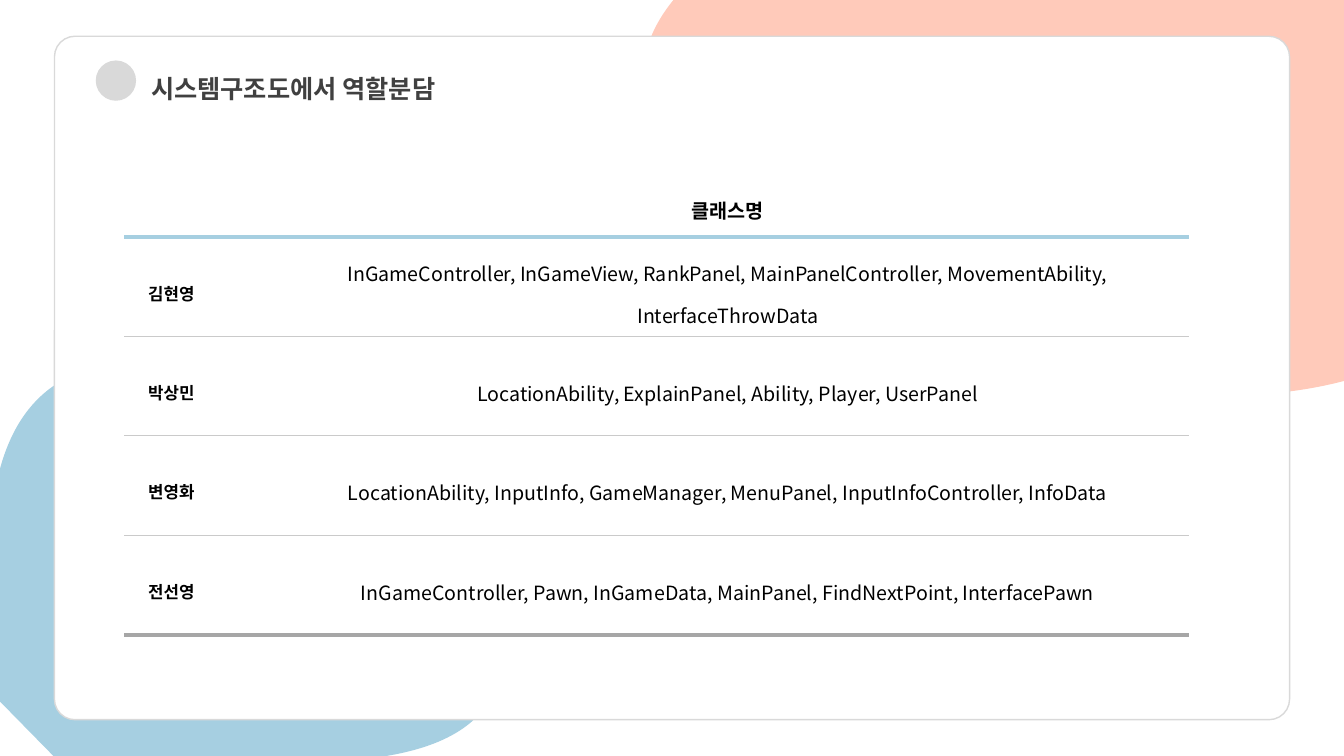
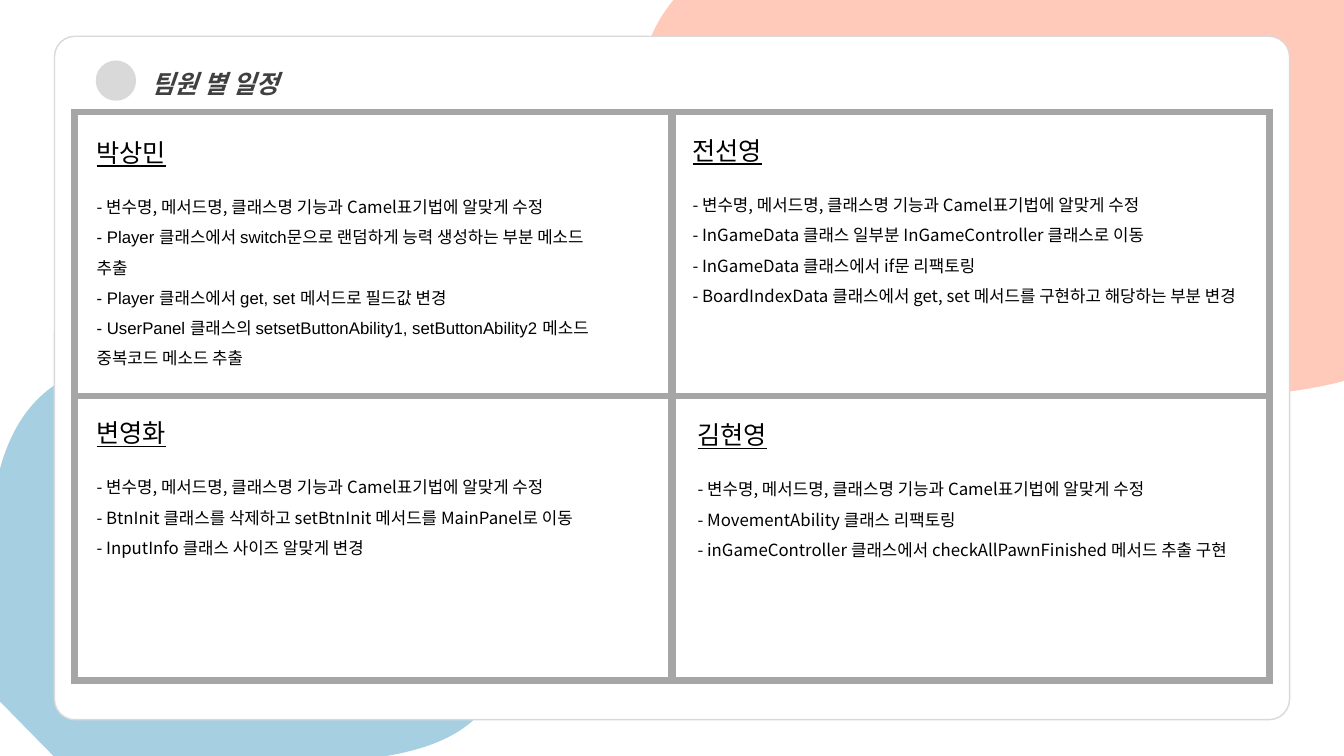
from dataclasses import dataclass

from lxml.etree import SubElement
from pptx import Presentation
from pptx.dml.color import RGBColor
from pptx.enum.shapes import MSO_SHAPE
from pptx.enum.text import MSO_ANCHOR, MSO_AUTO_SIZE, PP_ALIGN
from pptx.oxml import parse_xml
from pptx.oxml.ns import nsdecls, qn
from pptx.util import Emu, Pt

EMU_PER_PX = 9144  # 100 px to the inch

BLUE = RGBColor(0xA6, 0xCF, 0xE1)
CORAL = RGBColor(0xFF, 0xCA, 0xBA)
WHITE = RGBColor(0xFF, 0xFF, 0xFF)
BLACK = RGBColor(0x00, 0x00, 0x00)
TITLE_GRAY = RGBColor(0x40, 0x40, 0x40)
PALE_GRAY = RGBColor(0xD9, 0xD9, 0xD9)
RULE_GRAY = RGBColor(0xCA, 0xCA, 0xCA)
FRAME_GRAY = RGBColor(0xA6, 0xA6, 0xA6)

KOREAN_FONT = "Noto Sans CJK KR"
LATIN_FONT = "Arial"
LINE_SPACING = 1.5

Point = tuple[int, int]


@dataclass(frozen=True)
class Box:
    left: int
    top: int
    width: int
    height: int

    def emu(self) -> tuple[Emu, Emu, Emu, Emu]:
        return px(self.left), px(self.top), px(self.width), px(self.height)


@dataclass(frozen=True)
class Rule:
    color: RGBColor
    points: float


@dataclass(frozen=True)
class Blob:
    """Outline steps hold one point for a line and three for a curve."""
    box: Box
    color: RGBColor
    start: Point
    steps: tuple[tuple[Point, ...], ...]


@dataclass(frozen=True)
class TeamRow:
    member: str
    classes: str


@dataclass(frozen=True)
class MemberPlan:
    box: Box
    member: str
    tasks: tuple[str, ...]
    heading_font: str = KOREAN_FONT
    task_font: str = KOREAN_FONT


# Background outlines
BLOBS = (
    Blob(Box(0, 361, 495, 389), BLUE, (137, 361), (
        ((344, 367), (668, 703), (383, 750)),
        ((53, 750),), ((0, 696),), ((0, 465),),
        ((21, 388), (73, 359), (137, 361)),
    )),
    Blob(Box(637, 0, 696, 393), CORAL, (1333, 0), (
        ((1333, 378),),
        ((1032, 457), (504, 200), (668, 0)),
        ((1333, 0),),
    )),
)

# Content
SHARED_TASK = "- 변수명, 메서드명, 클래스명 기능과 Camel표기법에 알맞게 수정"

TEAM_ROWS = (
    TeamRow("김현영", "InGameController, InGameView, RankPanel, MainPanelController, "
                   "MovementAbility, InterfaceThrowData"),
    TeamRow("박상민", "LocationAbility, ExplainPanel, Ability, Player, UserPanel"),
    TeamRow("변영화", "LocationAbility, InputInfo, GameManager, MenuPanel, "
                   "InputInfoController, InfoData"),
    TeamRow("전선영", "InGameController, Pawn, InGameData, MainPanel, FindNextPoint, "
                   "InterfacePawn"),
)

MEMBER_PLANS = (
    MemberPlan(Box(86, 116, 535, 251), "박상민", (
        "- Player 클래스에서 switch문으로 랜덤하게 능력 생성하는 부분 메소드 추출",
        "- Player 클래스에서 get, set 메서드로 필드값 변경",
        "- UserPanel 클래스의 setsetButtonAbility1, setButtonAbility2 메소드 "
        "중복코드 메소드 추출",
    ), LATIN_FONT, LATIN_FONT),
    MemberPlan(Box(86, 394, 568, 160), "변영화", (
        "- BtnInit 클래스를 삭제하고 setBtnInit 메서드를 MainPanel로 이동",
        "- InputInfo 클래스 사이즈 알맞게 변경",
    )),
    MemberPlan(Box(677, 114, 565, 221), "전선영", (
        "- InGameData 클래스 일부분 InGameController 클래스로 이동",
        "- InGameData 클래스에서 if문 리팩토링",
        "- BoardIndexData 클래스에서 get, set 메서드를 구현하고 해당하는 부분 변경",
    )),
    MemberPlan(Box(682, 396, 565, 160), "김현영", (
        "- MovementAbility 클래스 리팩토링",
        "- inGameController 클래스에서 checkAllPawnFinished 메서드 추출 구현",
    )),
)


# Helpers
def px(length: int) -> Emu:
    return Emu(length * EMU_PER_PX)


def add_blob(slide, blob: Blob) -> None:
    box = blob.box
    right, bottom = box.left + box.width, box.top + box.height
    builder = slide.shapes.build_freeform(box.left, box.top, scale=EMU_PER_PX)
    builder.add_line_segments([(right, box.top), (right, bottom), (box.left, bottom)])
    shape = builder.convert_to_shape()
    shape.shadow.inherit = False
    shape.fill.solid()
    shape.fill.fore_color.rgb = blob.color
    shape.line.fill.background()

    # Swap the straight frame for the curved outline
    outline = shape.element.find(".//" + qn("a:path"))
    for segment in list(outline):
        outline.remove(segment)
    tags = {1: "a:lnTo", 3: "a:cubicBezTo"}
    segments = [("a:moveTo", (blob.start,))]
    segments += [(tags[len(points)], points) for points in blob.steps]
    for tag, points in segments:
        segment = SubElement(outline, qn(tag))
        for x, y in points:
            SubElement(segment, qn("a:pt"), x=str(x - box.left), y=str(y - box.top))
    SubElement(outline, qn("a:close"))


def add_panel(slide, kind: MSO_SHAPE, box: Box, fill: RGBColor | None = None,
              rule: Rule | None = None):
    panel = slide.shapes.add_shape(kind, *box.emu())
    panel.shadow.inherit = False
    if fill is None:
        panel.fill.background()
    else:
        panel.fill.solid()
        panel.fill.fore_color.rgb = fill
    if rule is None:
        panel.line.fill.background()
    else:
        panel.line.color.rgb = rule.color
        panel.line.width = Pt(rule.points)
        outline = panel.element.find(".//" + qn("a:ln"))
        SubElement(outline, qn("a:miter"), lim="800000")
    return panel


def format_paragraph(paragraph, size: int, spacing: float = LINE_SPACING,
                     color: RGBColor = BLACK, font_name: str = KOREAN_FONT,
                     bold: bool = False, italic: bool = False,
                     underline: bool = False,
                     alignment: PP_ALIGN = PP_ALIGN.LEFT) -> None:
    paragraph.alignment = alignment
    paragraph.line_spacing = spacing
    for run in paragraph.runs:
        font = run.font
        font.size = Pt(size)
        font.bold = bold
        font.italic = italic
        font.underline = underline
        font.color.rgb = color
        font.name = font_name
        SubElement(font._element, qn("a:ea"), typeface=KOREAN_FONT)


def set_cell_borders(cell, top: Rule | None, bottom: Rule | None) -> None:
    properties = cell._tc.get_or_add_tcPr()
    sides = (("lnL", None), ("lnR", None), ("lnT", top), ("lnB", bottom))
    for position, (tag, rule) in enumerate(sides):
        width = Pt(rule.points) if rule else 0
        paint = (f'<a:solidFill><a:srgbClr val="{rule.color}"/></a:solidFill>'
                 if rule else "<a:noFill/>")
        border = parse_xml(f'<a:{tag} {nsdecls("a")} w="{width}">{paint}</a:{tag}>')
        properties.insert(position, border)


# Shared slide frame
def add_framed_slide(presentation, title_text: str, title_box: Box,
                     italic: bool = False):
    slide = presentation.slides.add_slide(presentation.slide_layouts[5])
    for blob in BLOBS:
        add_blob(slide, blob)
    card = add_panel(slide, MSO_SHAPE.ROUNDED_RECTANGLE, Box(54, 36, 1225, 678),
                     WHITE, Rule(PALE_GRAY, 1))
    card.adjustments[0] = 0.03

    title = slide.shapes.title
    title.left, title.top, title.width, title.height = title_box.emu()
    title_frame = title.text_frame
    title_frame.text = title_text
    title_frame.vertical_anchor = MSO_ANCHOR.TOP
    title_frame.auto_size = MSO_AUTO_SIZE.NONE
    format_paragraph(title_frame.paragraphs[0], 18, color=TITLE_GRAY,
                     bold=True, italic=italic)
    card.element.addnext(title.element)  # bring the title above the card

    add_panel(slide, MSO_SHAPE.OVAL, Box(95, 60, 40, 40), PALE_GRAY)
    return slide


# Slide 1: classes by team member
def add_class_table(slide) -> None:
    row_heights = (54, 99, 98, 99, 99)
    column_widths = (128, 928)
    box = Box(123, 181, sum(column_widths), sum(row_heights))
    table = slide.shapes.add_table(len(row_heights), len(column_widths),
                                   *box.emu()).table
    table.first_row = False
    table.horz_banding = False
    for column, width in zip(table.columns, column_widths):
        column.width = px(width)
    for row, height in zip(table.rows, row_heights):
        row.height = px(height)

    thin = Rule(RULE_GRAY, 1)
    rules = (None, Rule(BLUE, 3), thin, thin, thin, Rule(FRAME_GRAY, 3))
    contents = [("", "클래스명")] + [(row.member, row.classes) for row in TEAM_ROWS]
    for row_index, texts in enumerate(contents):
        is_header = row_index == 0
        for column_index, text in enumerate(texts):
            is_member = column_index == 0
            cell = table.cell(row_index, column_index)
            cell.fill.background()
            cell.vertical_anchor = MSO_ANCHOR.MIDDLE
            cell.margin_left = px(24)
            cell.text_frame.text = text
            format_paragraph(cell.text_frame.paragraphs[0],
                             size=12 if is_member else 14,
                             spacing=1.0 if is_header else LINE_SPACING,
                             bold=is_header or is_member,
                             alignment=PP_ALIGN.LEFT if is_member else PP_ALIGN.CENTER)
            set_cell_borders(cell, rules[row_index], rules[row_index + 1])


# Slide 2: plan of each member
def add_member_plan(slide, plan: MemberPlan) -> None:
    text_frame = slide.shapes.add_textbox(*plan.box.emu()).text_frame
    text_frame.word_wrap = True
    heading = text_frame.paragraphs[0]
    heading.text = plan.member
    format_paragraph(heading, 18, font_name=plan.heading_font, underline=True)
    for index, task in enumerate((SHARED_TASK, *plan.tasks)):
        paragraph = text_frame.add_paragraph()
        paragraph.text = task
        is_shared = index == 0
        format_paragraph(paragraph, 12,
                         font_name=KOREAN_FONT if is_shared else plan.task_font)
        if is_shared:
            paragraph.space_before = Pt(14)


def add_plan_grid(slide) -> None:
    width, height, column_step = 592, 282, 593
    for column in range(2):
        for row in range(2):
            box = Box(74 + column * column_step, 111 + row * height, width, height)
            add_panel(slide, MSO_SHAPE.RECTANGLE, box, rule=Rule(FRAME_GRAY, 4.5))


def main() -> None:
    presentation = Presentation()
    presentation.slide_width = px(1333)
    presentation.slide_height = px(750)

    role_slide = add_framed_slide(presentation, "시스템구조도에서 역할분담",
                                  Box(140, 53, 603, 50))
    add_class_table(role_slide)

    plan_slide = add_framed_slide(presentation, "팀원 별 일정",
                                  Box(140, 48, 339, 50), italic=True)
    for plan in MEMBER_PLANS:
        add_member_plan(plan_slide, plan)
    add_plan_grid(plan_slide)

    presentation.save("out.pptx")


if __name__ == "__main__":
    main()
